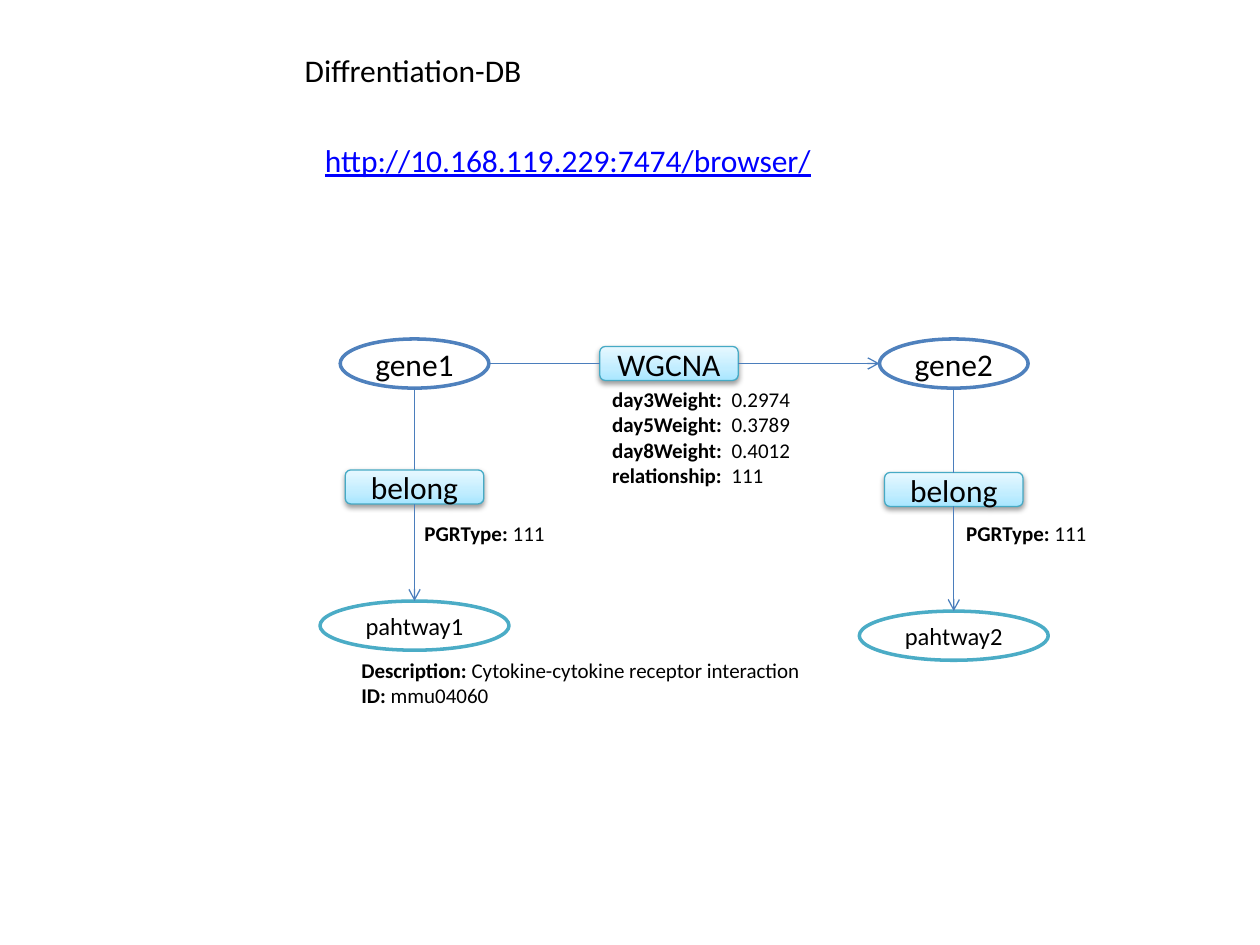
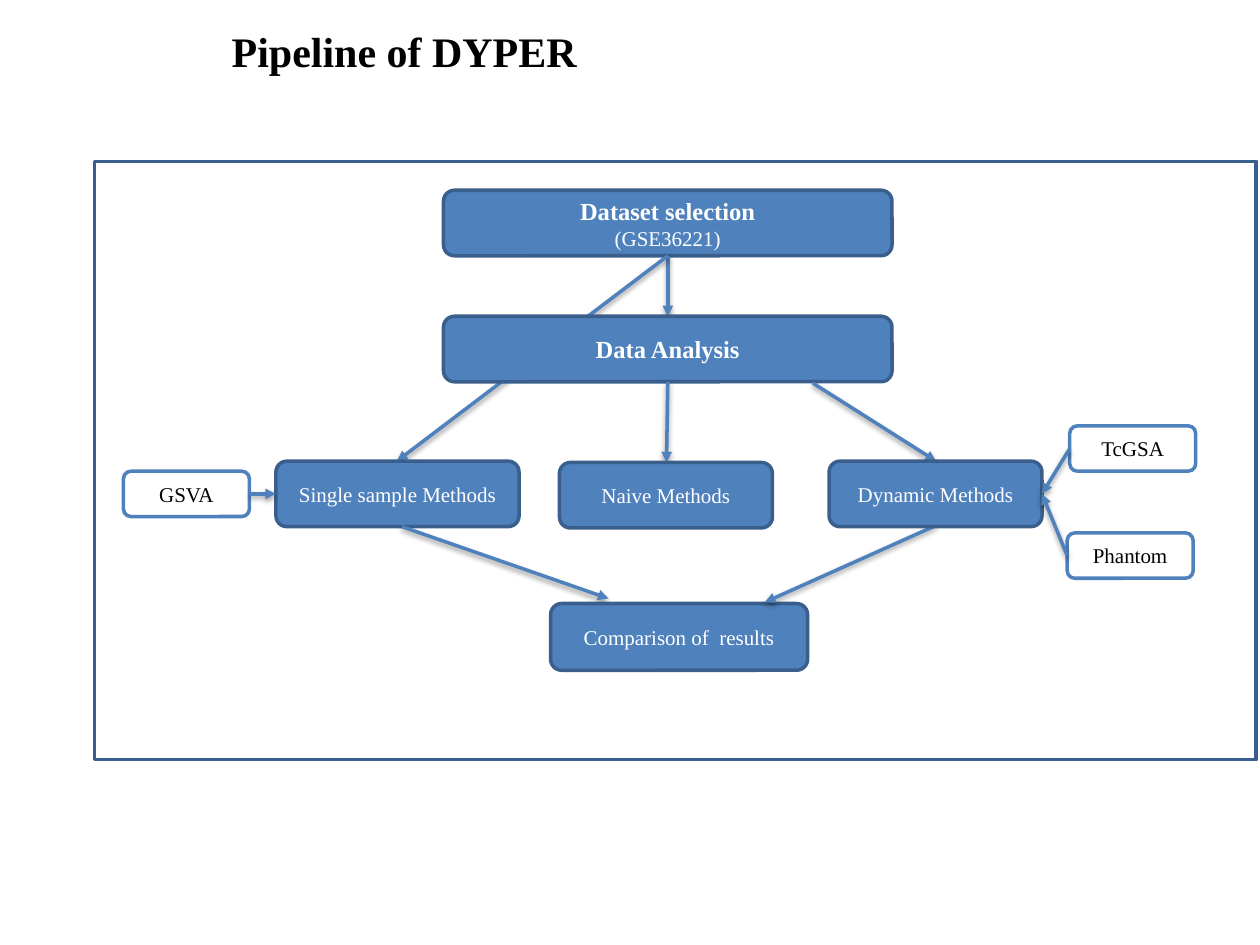
from lxml.etree import SubElement
from pptx import Presentation
from pptx.dml.color import RGBColor
from pptx.enum.shapes import MSO_CONNECTOR, MSO_SHAPE
from pptx.enum.text import MSO_ANCHOR, MSO_AUTO_SIZE, PP_ALIGN
from pptx.oxml.ns import qn
from pptx.util import Inches, Pt

STRAIGHT = MSO_CONNECTOR.STRAIGHT
OVAL, ROUNDED, RECTANGLE = MSO_SHAPE.OVAL, MSO_SHAPE.ROUNDED_RECTANGLE, MSO_SHAPE.RECTANGLE
MIDDLE, CENTER = MSO_ANCHOR.MIDDLE, PP_ALIGN.CENTER
GROW = MSO_AUTO_SIZE.SHAPE_TO_FIT_TEXT

BLACK = RGBColor(0x00, 0x00, 0x00)
WHITE = RGBColor(0xFF, 0xFF, 0xFF)
LINK_BLUE = RGBColor(0x00, 0x00, 0xFF)
BLUE = RGBColor(0x4F, 0x81, 0xBD)
DARK_BLUE = RGBColor(0x3A, 0x5F, 0x8C)
THIN_BLUE = RGBColor(0x4B, 0x7E, 0xBC)
AQUA = RGBColor(0x4B, 0xAC, 0xC6)
DARK_AQUA = RGBColor(0x46, 0xAA, 0xC5)
AQUA_GRADIENT = [(0, "A7E6FF"), (35, "C1EDFF"), (100, "E7F8FF")]

# Formats of the boxes: preset shape, fill, line and text
GENE = dict(kind=OVAL, fill=WHITE, line=BLUE, size=18)
PATHWAY = dict(kind=OVAL, fill=WHITE, line=AQUA, size=14)
RELATION = dict(fill=AQUA_GRADIENT, line=DARK_AQUA, weight=0.75, size=18, shadow=True)
STEP = dict(fill=BLUE, line=DARK_BLUE, color=WHITE)
TOOL = dict(fill=WHITE, line=BLUE)
FRAME = dict(kind=RECTANGLE, line=DARK_BLUE)

# Formats of the connectors
EDGE = dict(color=THIN_BLUE, weight=0.75, head=None)
EDGE_ARROW = dict(EDGE, head="arrow")
FLOW = dict(color=BLUE, weight=2, head="triangle", shadow=True)


class Canvas:
    """Holds the text font and the current slide."""

    def __init__(self, deck, font):
        self.font = font
        self.page = deck.slides.add_slide(deck.slide_layouts[6])

    def fill_text(self, frame, lines, size, color, align=None):
        """Each line is a list of (text, format) spans."""
        for number, spans in enumerate(lines):
            para = frame.paragraphs[0] if number == 0 else frame.add_paragraph()
            para.alignment = align
            for text, extra in spans:
                span = para.add_run()
                span.text = text
                span.font.color.rgb = color
                look = {"name": self.font, "size": Pt(size), "bold": False, **extra}
                for name, value in look.items():
                    setattr(span.font, name, value)

    def text(self, left, top, width, height, lines, size=12, color=BLACK, wrap=True):
        box = self.page.shapes.add_textbox(*map(Inches, (left, top, width, height)))
        box.text_frame.word_wrap = wrap
        box.text_frame.auto_size = GROW
        self.fill_text(box.text_frame, lines, size, color)

    def fields(self, left, top, width, height, pairs):
        """Text box of bold names, each followed by its value."""
        lines = [[(name, {"bold": True}), (value, {})] for name, value in pairs]
        self.text(left, top, width, height, lines)

    def box(self, left, top, width, height, lines=(), kind=ROUNDED, fill=None,
            line=BLUE, weight=2, size=12, color=BLACK, shadow=False):
        shape = self.page.shapes.add_shape(kind, *map(Inches, (left, top, width, height)))
        if fill is None:
            shape.fill.background()
        elif isinstance(fill, list):
            self.gradient(shape, fill)
        else:
            shape.fill.solid()
            shape.fill.fore_color.rgb = fill
        shape.line.color.rgb = line
        shape.line.width = Pt(weight)
        shape.shadow.inherit = False
        if shadow:
            self.drop_shadow(shape._element.spPr.find(qn("a:effectLst")))
        frame = shape.text_frame
        frame.vertical_anchor = MIDDLE
        if isinstance(lines, str):
            lines = [[(lines, {})]]
        self.fill_text(frame, lines, size, color, CENTER)
        return shape

    def gradient(self, shape, stops):
        shape.fill.gradient()
        shape.fill.gradient_angle = 90
        stop_list = shape._element.spPr.find(".//" + qn("a:gsLst"))
        stop_list.clear()
        for percent, color in stops:
            stop = SubElement(stop_list, qn("a:gs"), pos=str(percent * 1000))
            SubElement(stop, qn("a:srgbClr"), val=color)

    def drop_shadow(self, effects):
        shadow = SubElement(effects, qn("a:outerShdw"), blurRad=str(Pt(3.1)),
                            dist=str(Pt(1.6)), dir="5400000", rotWithShape="0")
        color = SubElement(shadow, qn("a:srgbClr"), val="000000")
        SubElement(color, qn("a:alpha"), val="38000")

    def connect(self, start, end, color, weight, head, shadow=False):
        connector = self.page.shapes.add_connector(STRAIGHT, *start, *end)
        connector.line.color.rgb = color
        connector.line.width = Pt(weight)
        if head:
            outline = connector._element.spPr.find(qn("a:ln"))
            SubElement(outline, qn("a:tailEnd"), type=head)
        effects = SubElement(connector._element.spPr, qn("a:effectLst"))
        if shadow:
            self.drop_shadow(effects)


def point(x, y):
    return Inches(x), Inches(y)


def side(shape, name):
    """Middle of one side of a shape."""
    across, down = {"top": (0.5, 0), "bottom": (0.5, 1),
                    "left": (0, 0.5), "right": (1, 0.5)}[name]
    return (int(shape.left + across * shape.width),
            int(shape.top + down * shape.height))


def build_database_slide(deck):
    canvas = Canvas(deck, "Calibri")
    canvas.text(2.32, 0.36, 1.95, 0.4, [[("Diffrentiation-DB", {})]], size=18, wrap=False)
    canvas.text(2.48, 1.07, 4.33, 0.4,
                [[("http://10.168.119.229:7474/browser/", {"underline": True})]],
                size=18, color=LINK_BLUE)

    # Genes, their relation, and the pathway under each gene
    columns = []
    for number, (center, belong_top, pathway_top) in enumerate(
            [(3.29, 3.73, 4.77), (7.57, 3.75, 4.85)], start=1):
        gene = canvas.box(center - 0.59, 2.69, 1.18, 0.39, f"gene{number}", **GENE)
        pathway = canvas.box(center - 0.75, pathway_top, 1.5, 0.39,
                             f"pahtway{number}", **PATHWAY)
        belong = canvas.box(center - 0.55, belong_top, 1.1, 0.27, "belong", **RELATION)
        columns.append((gene, belong, pathway))
    wgcna = canvas.box(4.76, 2.75, 1.1, 0.27, "WGCNA", **RELATION)

    # Properties
    canvas.fields(2.77, 5.17, 3.94, 0.5, [
        ("Description: ", "Cytokine-cytokine receptor interaction"),
        ("ID: ", "mmu04060")])
    canvas.fields(4.76, 3.02, 2, 0.91, [
        ("day3Weight:  ", "0.2974"), ("day5Weight:  ", "0.3789"),
        ("day8Weight:  ", "0.4012"), ("relationship:  ", "111")])
    for left in (3.27, 7.57):
        canvas.fields(left, 4.08, 1.82, 0.3, [("PGRType: ", "111")])

    # Edges
    first_gene, second_gene = (column[0] for column in columns)
    canvas.connect(side(first_gene, "right"), side(wgcna, "left"), **EDGE)
    canvas.connect(side(wgcna, "right"), side(second_gene, "left"), **EDGE_ARROW)
    for gene, belong, pathway in columns:
        canvas.connect(side(gene, "bottom"), side(belong, "top"), **EDGE)
        canvas.connect(side(belong, "bottom"), side(pathway, "top"), **EDGE_ARROW)


def build_pipeline_slide(deck):
    canvas = Canvas(deck, "Times New Roman")
    heading = {"bold": True, "size": Pt(14)}
    canvas.text(1.74, 0.15, 5.51, 0.5, [[("Pipeline of DYPER", {"bold": True})]], size=24)

    # Dataset and analysis; the slanted arrow runs behind the analysis box
    dataset = canvas.box(3.52, 1.51, 3.56, 0.52,
                         [[("Dataset selection", heading)], [("(GSE36221)", {})]], **STEP)
    for end in (point(5.3, 2.51), point(3.15, 3.66)):
        canvas.connect(side(dataset, "bottom"), end, **FLOW)
    canvas.box(0.75, 1.28, 9.22, 4.75, **FRAME)
    analysis = canvas.box(3.52, 2.51, 3.56, 0.52, [[("Data Analysis", heading)]], **STEP)

    # Methods
    canvas.connect(side(analysis, "bottom"), point(5.29, 3.67), **FLOW)
    canvas.connect(point(6.45, 3.04), point(7.43, 3.66), **FLOW)
    canvas.box(4.44, 3.67, 1.69, 0.52, "Naive Methods", **STEP)
    single = canvas.box(2.19, 3.66, 1.93, 0.52, "Single sample Methods", **STEP)
    canvas.connect(point(3.19, 4.18), point(4.83, 4.75), **FLOW)

    # Comparison
    canvas.box(4.37, 4.79, 2.04, 0.53, "Comparison of  results", **STEP)
    canvas.connect(point(7.43, 4.17), point(6.07, 4.78), **FLOW)
    dynamic = canvas.box(6.58, 3.66, 1.69, 0.52, "Dynamic Methods", **STEP)

    # Tools that feed the methods
    for name, left, top, out, method, into in [
            ("GSVA", 0.98, 3.74, "right", single, "left"),
            ("TcGSA", 8.49, 3.38, "left", dynamic, "right"),
            ("Phantom", 8.47, 4.23, "left", dynamic, "right")]:
        tool = canvas.box(left, top, 1, 0.36, name, **TOOL)
        canvas.connect(side(tool, out), side(method, into), **FLOW)


def main():
    deck = Presentation()
    deck.slide_width, deck.slide_height = Inches(10), Inches(7.5)
    build_database_slide(deck)
    build_pipeline_slide(deck)
    deck.save("out.pptx")


if __name__ == "__main__":
    main()
